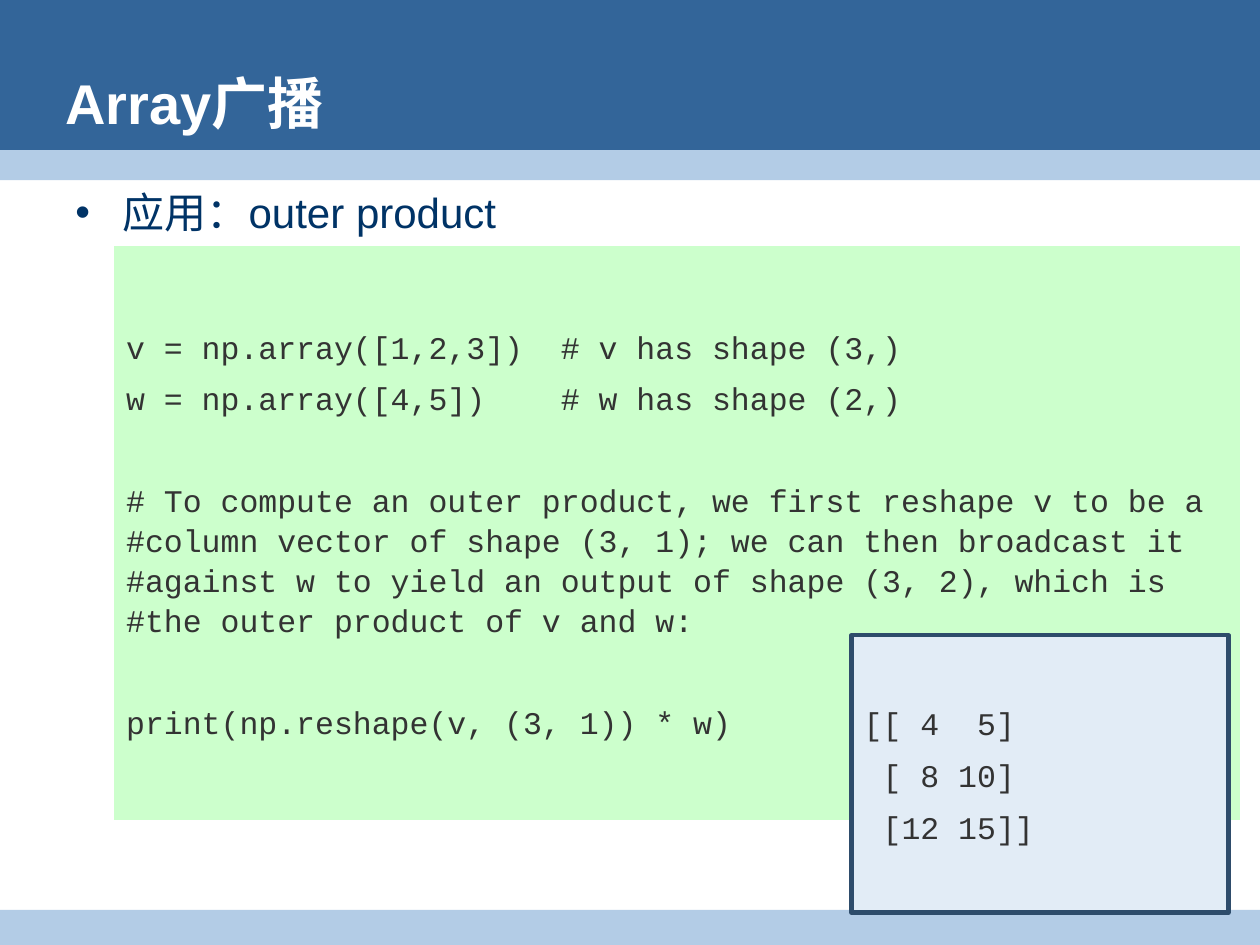
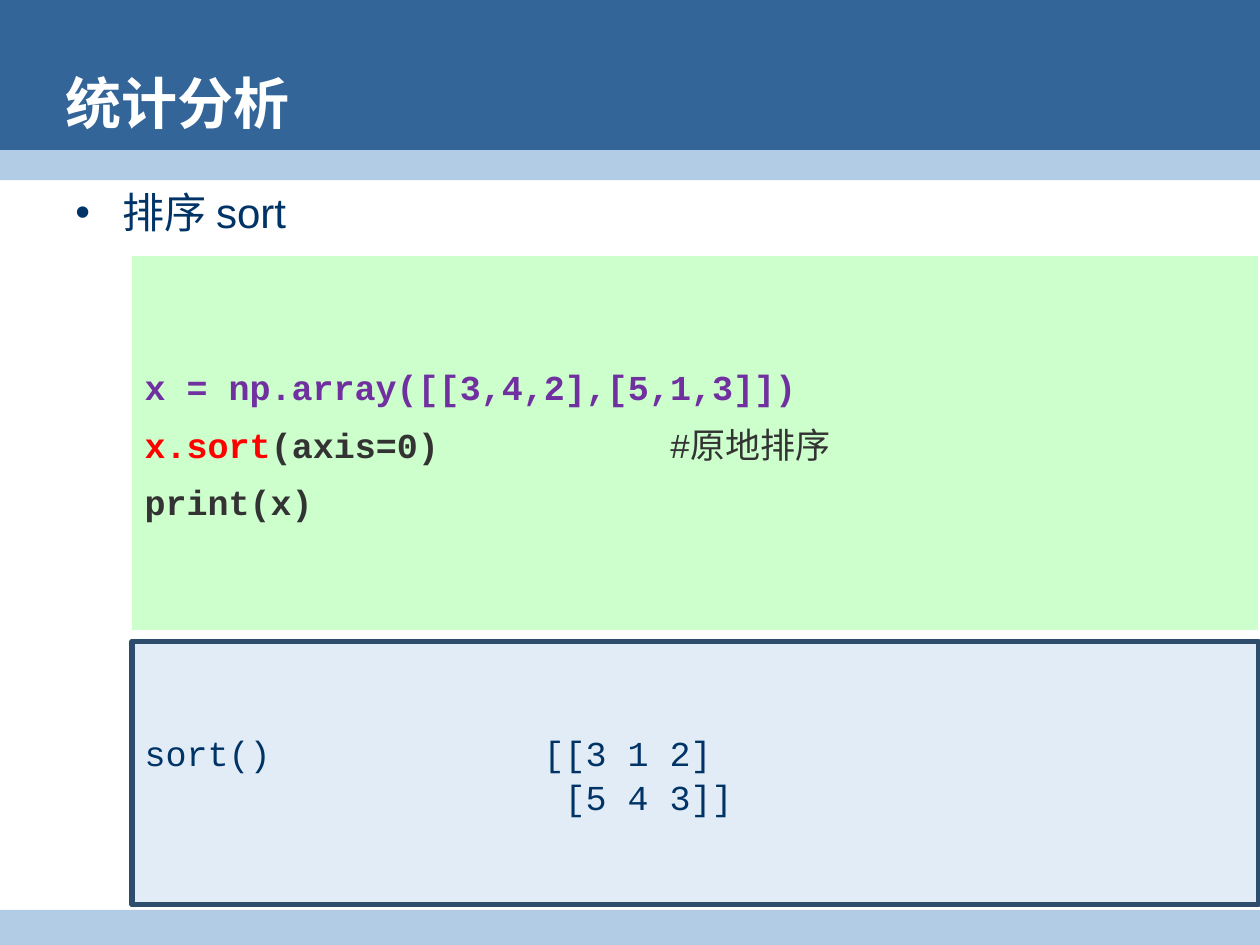
from dataclasses import dataclass

from lxml import etree
from pptx import Presentation
from pptx.dml.color import RGBColor
from pptx.enum.shapes import MSO_SHAPE
from pptx.enum.text import MSO_ANCHOR, PP_ALIGN
from pptx.oxml.ns import qn
from pptx.util import Pt

RECT = MSO_SHAPE.RECTANGLE
PROCESS = MSO_SHAPE.FLOWCHART_PROCESS
MIDDLE = MSO_ANCHOR.MIDDLE
LEFT = PP_ALIGN.LEFT

COLORS = {
    "header": "336599",
    "band": "B3CCE6",
    "title": "FFFFFF",
    "heading": "003366",
    "code_fill": "CCFFCC",
    "result_fill": "E2ECF6",
    "result_line": "2E4C6B",
    "code": "333333",
    "variable": "7030A0",
    "call": "FF0000",
}
SANS, MONO = "Arial", "Courier New"
WIDTH, HEIGHT = 720, 540
TAB_STEP = 72
CODE_LEADING = 1.06


@dataclass(frozen=True)
class Box:
    left: float
    top: float
    width: float
    height: float


@dataclass(frozen=True)
class Piece:
    text: str
    color: str


@dataclass(frozen=True)
class Line:
    """One paragraph of code; plain pieces follow the bold ones."""
    pieces: tuple[Piece, ...]
    bold: bool = False
    remark: str = ""
    after_gap: bool = False


@dataclass(frozen=True)
class Panel:
    box: Box
    lines: tuple[Line, ...]
    size: float
    spacing: float
    fill: str = "code_fill"
    border: float = 0


@dataclass(frozen=True)
class Lesson:
    title: str
    heading: str
    panels: tuple[Panel, ...]


@dataclass(frozen=True)
class Band:
    box: Box
    color: str


BANDS = (
    Band(Box(0, 0, WIDTH, 94), "header"),
    Band(Box(0, 85.75, WIDTH, 17.25), "band"),
    Band(Box(0, 520, WIDTH, 20), "band"),
)
TITLE_BOX = Box(30.25, 37.5, 652, 42)
HEADING_BOX = Box(36, 103, 666, 420)


def code(text: str, color: str = "code", bold: bool = False, after_gap: bool = False) -> Line:
    return Line((Piece(text, color),), bold, after_gap=after_gap)


LESSONS = (
    Lesson("Array广播", "应用：outer product", (
        Panel(Box(65, 140.5, 643.5, 328), (
            code("v = np.array([1,2,3])  # v has shape (3,)"),
            code("w = np.array([4,5])    # w has shape (2,)"),
            code("# To compute an outer product, we first reshape v to be a "
                 "#column vector of shape (3, 1); we can then broadcast it "
                 "#against w to yield an output of shape (3, 2), which is "
                 "#the outer product of v and w:", after_gap=True),
            code("print(np.reshape(v, (3, 1)) * w)", after_gap=True),
        ), 18, 6.8),
        Panel(Box(486.5, 363, 215.5, 158.5), (
            code("[[ 4  5]"),
            code(" [ 8 10]"),
            code(" [12 15]]"),
        ), 18, 6.8, "result_fill", 2.5),
    )),
    Lesson("统计分析", "排序 sort", (
        Panel(Box(75.5, 146, 643.5, 214), (
            code("x = np.array([[3,4,2],[5,1,3]])", "variable", True),
            Line((Piece("x.sort", "call"), Piece("(axis=0)\t\t", "code")), True, " #原地排序"),
            code("print(x)", bold=True),
        ), 20, 7.5),
        Panel(Box(75.5, 366.5, 643.5, 150.5), (
            code("sort()\t\t [[3 1 2]", "heading"),
            code(" \t\t\t  [5 4 3]]", "heading"),
        ), 20, 0, "result_fill", 3),
    )),
)


def rgb(name: str) -> RGBColor:
    return RGBColor.from_string(COLORS[name])


def place(box: Box) -> tuple[Pt, Pt, Pt, Pt]:
    return Pt(box.left), Pt(box.top), Pt(box.width), Pt(box.height)


def set_font(font, name: str, size: float, color: str, bold: bool = False) -> None:
    font.name, font.size, font.bold = name, Pt(size), bold
    font.color.rgb = rgb(color)


def add_block(slide, kind, box: Box, fill: str, border: float = 0):
    block = slide.shapes.add_shape(kind, *place(box))
    block.shadow.inherit = False
    block.fill.solid()
    block.fill.fore_color.rgb = rgb(fill)
    if border:
        block.line.color.rgb = rgb("result_line")
        block.line.width = Pt(border)
    else:
        block.line.fill.background()
    return block


def add_label(slide, box: Box, text: str):
    """Add a wrapping text box and return its frame."""
    frame = slide.shapes.add_textbox(*place(box)).text_frame
    frame.word_wrap = True
    frame.paragraphs[0].add_run().text = text
    return frame


def add_bullet(paragraph) -> None:
    properties = paragraph._p.get_or_add_pPr()
    properties.set("marL", str(Pt(27)))
    properties.set("indent", str(Pt(-27)))
    color = etree.SubElement(properties, qn("a:buClr"))
    etree.SubElement(color, qn("a:srgbClr"), val=COLORS["heading"])
    etree.SubElement(properties, qn("a:buFont"), typeface=SANS)
    etree.SubElement(properties, qn("a:buChar"), char="•")


def add_tabs(paragraph) -> None:
    tabs = etree.SubElement(paragraph._p.get_or_add_pPr(), qn("a:tabLst"))
    for stop in range(1, 8):
        etree.SubElement(tabs, qn("a:tab"), pos=str(Pt(stop * TAB_STEP)), algn="l")


def add_panel(slide, panel: Panel) -> None:
    kind = RECT if panel.border else PROCESS
    frame = add_block(slide, kind, panel.box, panel.fill, panel.border).text_frame
    frame.word_wrap = True
    frame.vertical_anchor = MIDDLE
    blank_line = panel.size * 1.2 + panel.spacing
    for index, line in enumerate(panel.lines):
        paragraph = frame.add_paragraph() if index else frame.paragraphs[0]
        add_tabs(paragraph)
        paragraph.alignment = LEFT
        paragraph.line_spacing = CODE_LEADING
        if index:
            paragraph.space_before = Pt(panel.spacing + blank_line * line.after_gap)
        set_font(paragraph.font, MONO, panel.size, line.pieces[0].color, line.bold)
        for piece in line.pieces:
            run = paragraph.add_run()
            run.text = piece.text
            run.font.color.rgb = rgb(piece.color)
        if line.remark:
            run = paragraph.add_run()
            run.text = line.remark
            run.font.bold = False
            run.font.color.rgb = rgb("code")


def add_lesson(deck, lesson: Lesson) -> None:
    slide = deck.slides.add_slide(deck.slide_layouts[6])
    for band in BANDS:
        add_block(slide, RECT, band.box, band.color)

    heading = add_label(slide, HEADING_BOX, lesson.heading).paragraphs[0]
    add_bullet(heading)
    set_font(heading.font, SANS, 24, "heading")

    title = add_label(slide, TITLE_BOX, lesson.title)
    title.vertical_anchor = MIDDLE
    set_font(title.paragraphs[0].font, SANS, 32, "title", True)

    for panel in lesson.panels:
        add_panel(slide, panel)


def main() -> None:
    deck = Presentation()
    deck.slide_width, deck.slide_height = Pt(WIDTH), Pt(HEIGHT)
    for lesson in LESSONS:
        add_lesson(deck, lesson)
    deck.save("out.pptx")


if __name__ == "__main__":
    main()
